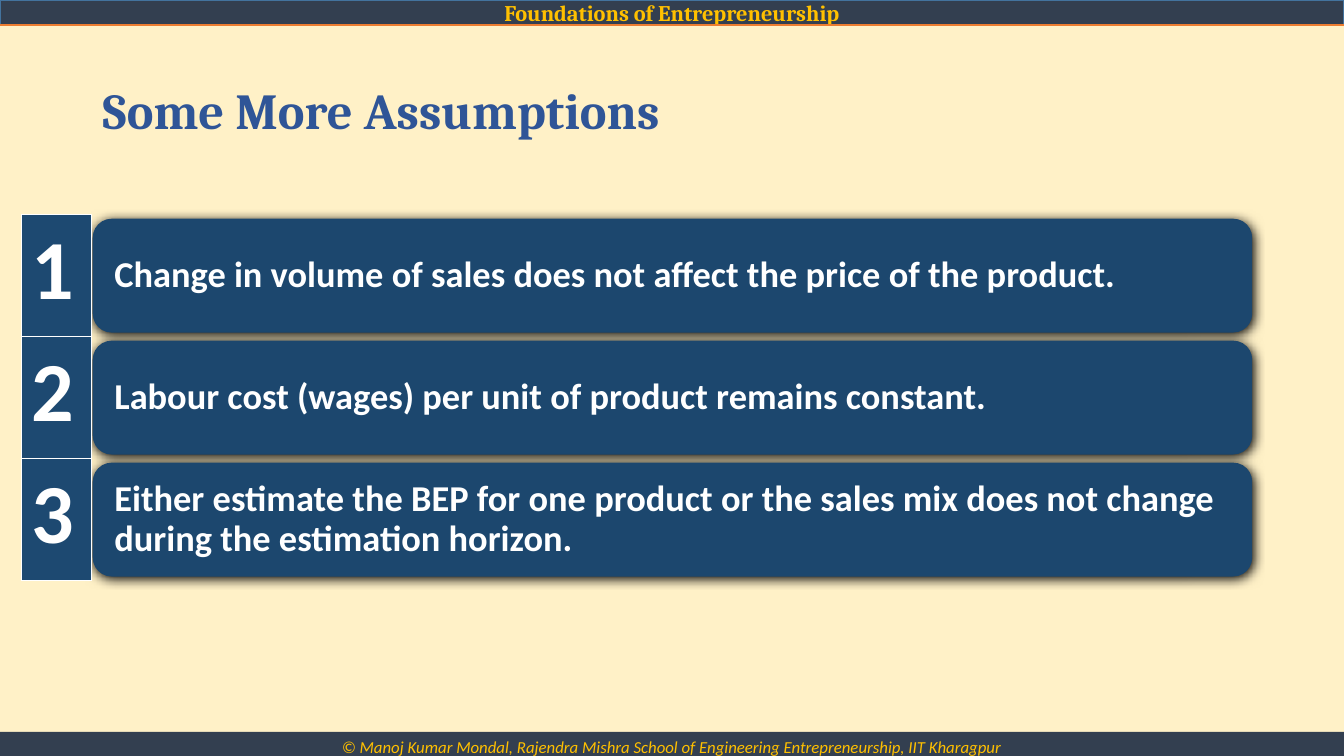
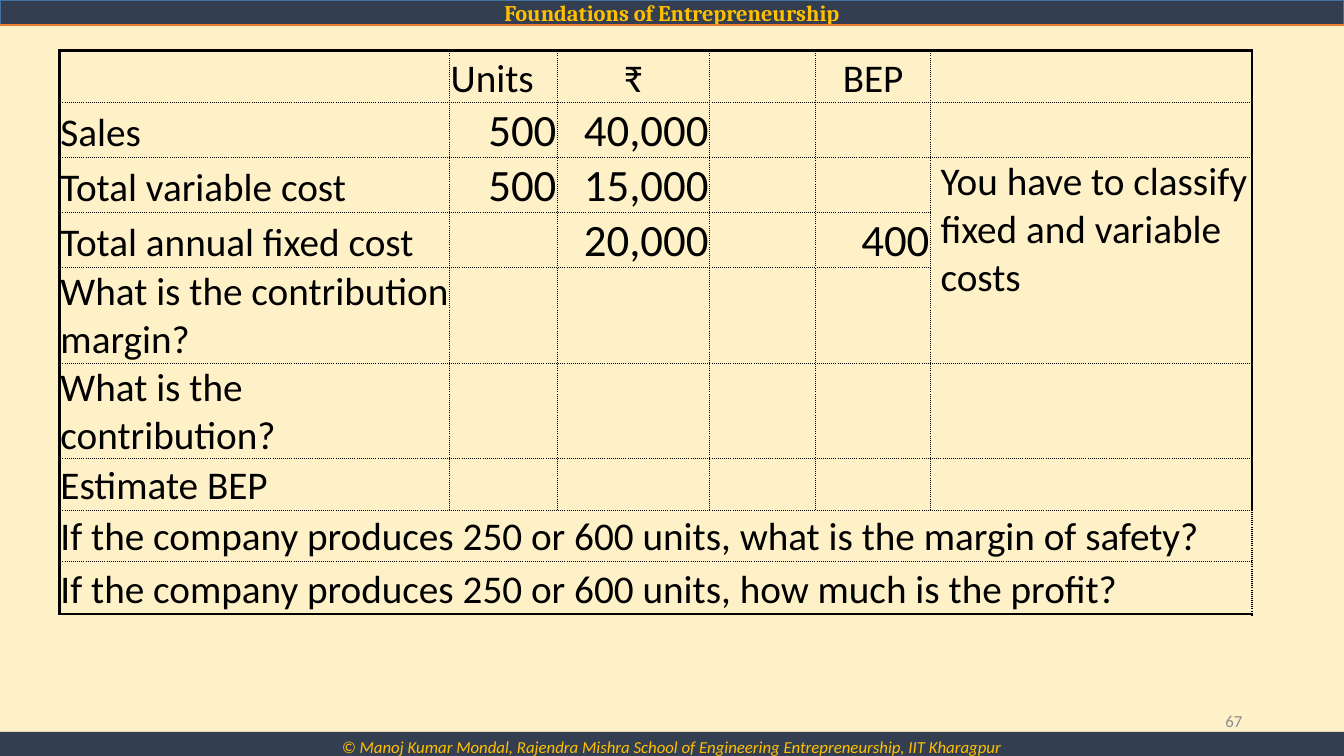
import dataclasses

import lxml.etree
import pptx
import pptx.dml.color
import pptx.enum.shapes
import pptx.enum.text
import pptx.oxml.ns
import pptx.util

Inches = pptx.util.Inches
Pt = pptx.util.Pt
Shape = pptx.enum.shapes.MSO_SHAPE
Align = pptx.enum.text.PP_ALIGN
Anchor = pptx.enum.text.MSO_ANCHOR
qn = pptx.oxml.ns.qn

WIDTH, HEIGHT = 13.33, 7.5
PLAIN_TABLE = "{2D5ABB26-0587-4C30-8999-92F81FD0307C}"
DEFAULT_INSETS = (0.1, 0.05, 0.1, 0.05)
TIGHT_INSETS = (0.01, 0.01, 0.01, 0)
NOTE_INSETS = (0.1, 0.01, 0, 0)


@dataclasses.dataclass(frozen=True)
class Theme:
    paper: str = "FFF1C7"
    band: str = "333F50"
    band_edge: str = "43739E"
    gold: str = "FFC000"
    rule: str = "ED7D31"
    title: str = "2F5597"
    bar: str = "1C476E"
    number: str = "1D4971"
    white: str = "FFFFFF"
    black: str = "000000"
    gray: str = "8C8C8C"
    heading_font: str = "Cambria"
    body_font: str = "Calibri"
    title_size: int = 36
    header_size: int = 16
    small_size: int = 12
    bar_size: int = 26
    number_size: int = 60
    label_size: int = 28
    figure_size: int = 32


THEME = Theme()


def color(value):
    return pptx.dml.color.RGBColor.from_string(value)


def write(frame, text, size, ink=THEME.black, font=THEME.body_font, bold=False,
          italic=False, align=Align.LEFT, spacing=None):
    frame.word_wrap = True
    for index, line in enumerate(text.split("\n")):
        para = frame.add_paragraph() if index else frame.paragraphs[0]
        para.alignment = align
        if spacing:
            para.line_spacing = spacing
        span = para.add_run()
        span.text = line
        span.font.name = font
        span.font.size = Pt(size)
        span.font.bold = bold
        span.font.italic = italic
        span.font.color.rgb = color(ink)


def set_insets(holder, insets, anchor):
    holder.margin_left, holder.margin_top, holder.margin_right, holder.margin_bottom = map(
        Inches, insets)
    holder.vertical_anchor = anchor


def add_border(cell, side, ink, width, dash):
    properties = cell._tc.get_or_add_tcPr()
    line = lxml.etree.SubElement(properties, qn("a:ln" + side), w=str(Pt(width)))
    fill = lxml.etree.SubElement(line, qn("a:solidFill"))
    lxml.etree.SubElement(fill, qn("a:srgbClr"), val=ink)
    lxml.etree.SubElement(line, qn("a:prstDash"), val=dash)


class SlideBuilder:
    def __init__(self, deck, theme):
        self.deck = deck
        self.theme = theme
        self.page = None

    def start_page(self):
        theme = self.theme
        self.page = self.deck.slides.add_slide(self.deck.slide_layouts[6])
        paper = self.page.background.fill
        paper.solid()
        paper.fore_color.rgb = color(theme.paper)
        self.box((0, 0, WIDTH, 0.25), "Foundations of Entrepreneurship", theme.header_size,
                 fill=theme.band, edge=theme.band_edge, ink=theme.gold,
                 font=theme.heading_font, bold=True, align=Align.CENTER)
        self.rule(0.25)
        self.box((0, 7.26, WIDTH, 0.24),
                 "© Manoj Kumar Mondal, Rajendra Mishra School of Engineering "
                 "Entrepreneurship, IIT Kharagpur",
                 theme.small_size, fill=theme.band, anchor=Anchor.TOP,
                 insets=(0.1, 0.05, 0.1, 0), ink=theme.gold, italic=True,
                 align=Align.CENTER)

    def rule(self, top):
        line = self.page.shapes.add_connector(
            pptx.enum.shapes.MSO_CONNECTOR.STRAIGHT,
            Inches(0), Inches(top), Inches(WIDTH), Inches(top))
        line.line.color.rgb = color(self.theme.rule)
        line.line.width = Pt(1.5)
        lxml.etree.SubElement(line._element.spPr, qn("a:effectLst"))

    def box(self, place, text, size, kind=Shape.RECTANGLE, fill=None, edge=None,
            shadow=False, insets=DEFAULT_INSETS, anchor=Anchor.MIDDLE, **style):
        where = map(Inches, place)
        if fill:
            shape = self.page.shapes.add_shape(kind, *where)
            shape.fill.solid()
            shape.fill.fore_color.rgb = color(fill)
            if edge:
                shape.line.color.rgb = color(edge)
                shape.line.width = Pt(1)
            else:
                shape.line.fill.background()
            shape.shadow.inherit = False
        else:
            shape = self.page.shapes.add_textbox(*where)
        if shadow:
            self.cast_shadow(shape)
        set_insets(shape.text_frame, insets, anchor)
        write(shape.text_frame, text, size, **style)

    def cast_shadow(self, shape):
        effects = shape._element.spPr.find(qn("a:effectLst"))
        shade = lxml.etree.SubElement(
            effects, qn("a:outerShdw"), blurRad=str(Pt(8.5)), dist=str(Pt(1)),
            dir="5400000", algn="ctr", rotWithShape="0")
        lxml.etree.SubElement(shade, qn("a:srgbClr"), val=self.theme.black)

    def title(self, text):
        self.box((0.92, 0.4, 11.5, 1.45), text, self.theme.title_size, ink=self.theme.title,
                 font=self.theme.heading_font, bold=True, spacing=0.9)

    def page_number(self, text):
        self.box((9.42, 6.95, 3, 0.4), text, self.theme.small_size,
                 ink=self.theme.gray, align=Align.RIGHT)

    def table(self, left, top, columns, rows, merges=()):
        frame = self.page.shapes.add_table(
            len(rows), len(columns), Inches(left), Inches(top),
            Inches(sum(columns)), Inches(sum(rows)))
        table = frame.table
        table.first_row = table.horz_banding = False
        table._tbl.tblPr.find(qn("a:tableStyleId")).text = PLAIN_TABLE
        for column, width in zip(table.columns, columns):
            column.width = Inches(width)
        for row, height in zip(table.rows, rows):
            row.height = Inches(height)
        for first, last in merges:
            table.cell(*first).merge(table.cell(*last))
        return table

    def finish_cell(self, cell, borders, fill=None):
        for side in "LRTB":
            if side in borders:
                add_border(cell, side, *borders[side])
        if fill:
            cell.fill.solid()
            cell.fill.fore_color.rgb = color(fill)
        else:
            cell.fill.background()


def build_assumptions(builder):
    theme = builder.theme
    assumptions = (
        "Change in volume of sales does not affect the price of the product.",
        "Labour cost (wages) per unit of product remains constant.",
        "Either estimate the BEP for one product or the sales mix does not change "
        "during the estimation horizon.",
    )
    pitch = 1.21
    builder.start_page()
    builder.title("Some More Assumptions")
    for index, assumption in enumerate(assumptions):
        builder.box((0.92, 2.17 + index * pitch, 11.5, 1.13), assumption, theme.bar_size,
                    kind=Shape.ROUNDED_RECTANGLE, fill=theme.bar, shadow=True,
                    insets=(0.16,) * 4, ink=theme.white, bold=True, spacing=0.9)
    numbers = builder.table(0.21, 2.13, [0.7], [pitch] * len(assumptions))
    borders = dict.fromkeys("LRTB", (theme.white, 1, "solid"))
    for index in range(len(assumptions)):
        cell = numbers.cell(index, 0)
        write(cell.text_frame, str(index + 1), theme.number_size, ink=theme.white, bold=True)
        builder.finish_cell(cell, borders, theme.number)


def worksheet_borders(cell, row, column, row_count, column_count, ink):
    dotted = (ink, 0.5, "sysDot")
    heavy = (ink, 2, "solid")
    last_row = row + cell.span_height if cell.is_merge_origin else row + 1
    last_column = column + cell.span_width if cell.is_merge_origin else column + 1
    outline = {
        "L": column == 0,
        "R": last_column == column_count,
        "T": row == 0,
        "B": last_row == row_count,
    }
    borders = {side: heavy if outer else dotted for side, outer in outline.items()
               if outer or not cell.is_spanned}
    if outline["R"] and row >= row_count - 2:
        borders["R"] = (ink, 2, "sysDot")
    return borders


def build_worksheet(builder):
    theme = builder.theme
    columns = [3.87, 1.07, 1.51, 1.05, 1.14, 3.19]
    rows = [0.52, 0.54, 0.54, 0.54, 0.95, 0.95, 0.51, 0.51, 0.52]
    note = (2, 5)
    content = (
        ("", "Units", "₹", "", "BEP"),
        ("Sales", "500", "40,000"),
        ("Total variable cost", "500", "15,000", "", "",
         "You have to classify\nfixed and variable\ncosts"),
        ("Total annual fixed cost", "", "20,000", "", "400"),
        ("What is the contribution margin?",),
        ("What is the contribution?",),
        ("Estimate BEP",),
        ("If the company produces 250 or 600 units, what is the margin of safety?",),
        ("If the company produces 250 or 600 units, how much is the profit?",),
    )
    builder.start_page()
    builder.page_number("67")
    merges = [(note, (4, 5)), ((7, 0), (7, 5)), ((8, 0), (8, 5))]
    table = builder.table(0.59, 0.5, columns, rows, merges)
    for row, values in enumerate(content):
        for column, text in enumerate(values):
            if not text:
                continue
            cell = table.cell(row, column)
            is_note = (row, column) == note
            is_figure = row > 0 and 0 < column < 5
            align = Align.RIGHT if is_figure else Align.LEFT
            if row == 0 and column > 1:
                align = Align.CENTER
            set_insets(cell, NOTE_INSETS if is_note else TIGHT_INSETS,
                       Anchor.TOP if is_note else Anchor.BOTTOM)
            write(cell.text_frame, text,
                  theme.figure_size if is_figure else theme.label_size, align=align)
    for row in range(len(rows)):
        for column in range(len(columns)):
            cell = table.cell(row, column)
            builder.finish_cell(cell, worksheet_borders(
                cell, row, column, len(rows), len(columns), theme.black))


def main():
    deck = pptx.Presentation()
    deck.slide_width = Inches(WIDTH)
    deck.slide_height = Inches(HEIGHT)
    builder = SlideBuilder(deck, THEME)
    build_assumptions(builder)
    build_worksheet(builder)
    deck.save("out.pptx")


if __name__ == "__main__":
    main()
